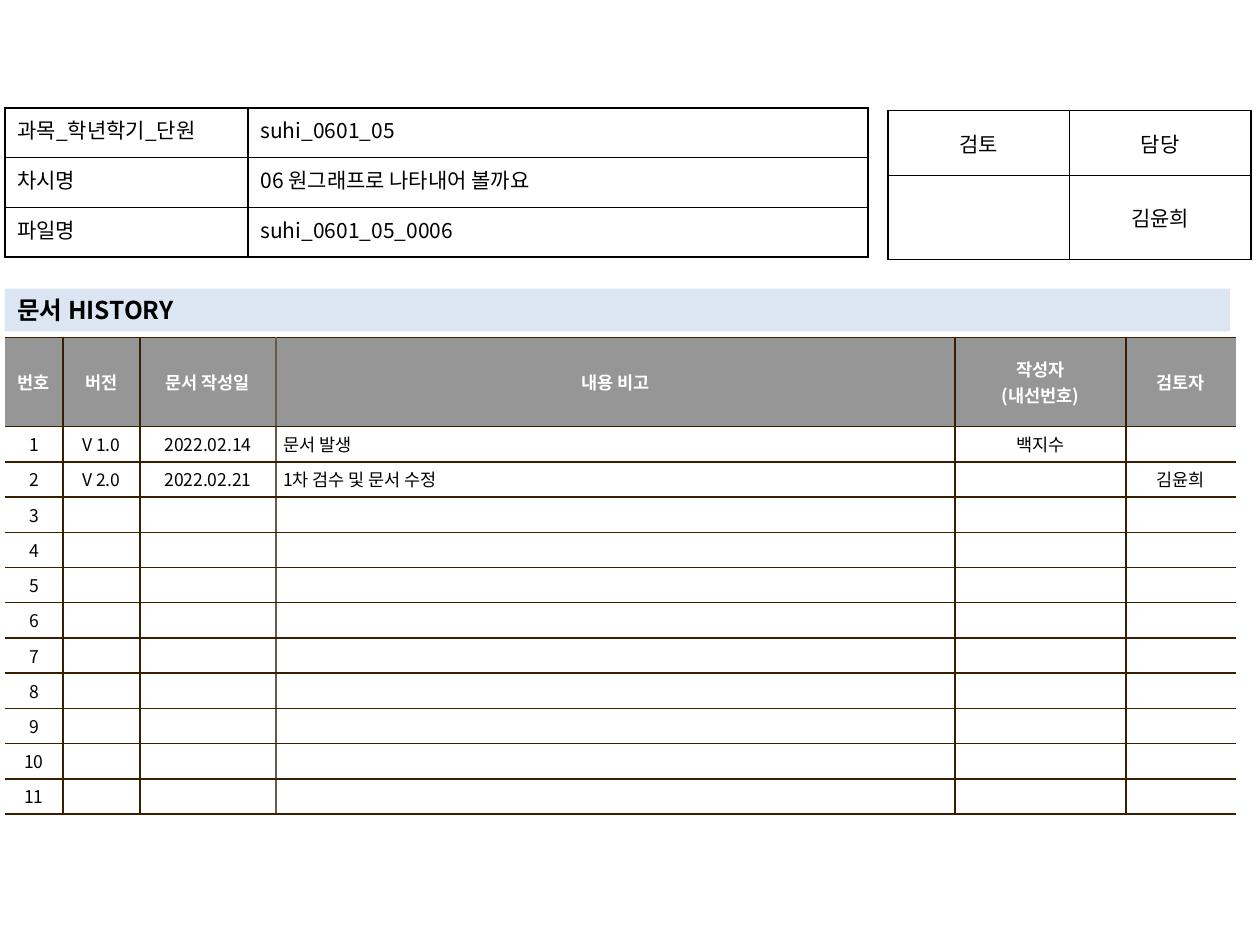
from lxml import etree
from pptx import Presentation
from pptx.dml.color import RGBColor
from pptx.enum import shapes, text
from pptx.oxml.ns import qn
from pptx.util import Cm, Pt

FONT = "Noto Sans CJK KR"
LEFT, CENTER, JUSTIFY = text.PP_ALIGN.LEFT, text.PP_ALIGN.CENTER, text.PP_ALIGN.JUSTIFY
TOP, MIDDLE = text.MSO_ANCHOR.TOP, text.MSO_ANCHOR.MIDDLE
BROWN, TAUPE = "362000", "645B4C"


def rgb(value):
    return RGBColor.from_string(value)


def write(tf, content, size, color="000000", bold=False, align=LEFT):
    """Write one paragraph per line; an empty text still keeps the font size."""
    for i, line in enumerate(content.split("\n")):
        p = tf.paragraphs[0] if i == 0 else tf.add_paragraph()
        p.alignment = align
        if not line:
            etree.SubElement(p._p, qn("a:endParaRPr"), sz=str(size * 100))
            continue
        r = p.add_run()
        r.text = line
        r.font.name, r.font.size, r.font.bold = FONT, Pt(size), bold
        r.font.color.rgb = rgb(color)
        etree.SubElement(r._r.get_or_add_rPr(), qn("a:ea"), typeface=FONT)


def set_borders(cell, left, right, top, bottom):
    """Draw 1 pt borders; None leaves a side open."""
    tcPr = cell._tc.get_or_add_tcPr()
    sides = zip(("lnL", "lnR", "lnT", "lnB"), (left, right, top, bottom))
    for i, (tag, color) in enumerate(sides):
        ln = etree.Element(qn(f"a:{tag}"), w=str(Pt(1)))
        if color:
            fill = etree.SubElement(ln, qn("a:solidFill"))
            etree.SubElement(fill, qn("a:srgbClr"), val=color)
        else:
            etree.SubElement(ln, qn("a:noFill"))
        tcPr.insert(i, ln)


def add_grid(s, x, y, widths, heights):
    frame = s.shapes.add_table(len(heights), len(widths), Cm(x), Cm(y),
                               Cm(sum(widths)), Cm(sum(heights)))
    table = frame.table
    table.first_row = table.horz_banding = False
    for col, w in zip(table.columns, widths):
        col.width = Cm(w)
    for row, h in zip(table.rows, heights):
        row.height = Cm(h)
    return table


def set_cell(cell, anchor, fill=None, margins=(0.25, 0.13)):
    cell.vertical_anchor = anchor
    cell.margin_left = cell.margin_right = Cm(margins[0])
    cell.margin_top = cell.margin_bottom = Cm(margins[1])
    if fill:
        cell.fill.solid()
        cell.fill.fore_color.rgb = rgb(fill)
    else:
        cell.fill.background()


def add_form(s, x, y, widths, heights, rows, aligns, anchor):
    """Place a plain black-ruled table."""
    table = add_grid(s, x, y, widths, heights)
    for i, row in enumerate(rows):
        for j, content in enumerate(row):
            cell = table.cell(i, j)
            set_cell(cell, anchor)
            write(cell.text_frame, content, 12, align=aligns[j])
            set_borders(cell, *["000000"] * 4)


def add_heading(s, x, y, w, h):
    sp = s.shapes.add_shape(shapes.MSO_SHAPE.RECTANGLE, Cm(x), Cm(y), Cm(w), Cm(h))
    sp.shadow.inherit = False
    sp.fill.solid()
    sp.fill.fore_color.rgb = rgb("DCE6F2")
    sp.line.fill.background()
    tf = sp.text_frame
    tf.word_wrap = True
    tf.vertical_anchor = MIDDLE
    tf.margin_top = tf.margin_bottom = 0
    write(tf, "문서 HISTORY", 14, bold=True)


def add_history(s, x, y, entries, count):
    """Place the history table with a header and numbered rows."""
    header = ["번호", "버전", "문서 작성일", "내용 비고", "작성자\n(내선번호)", "검토자"]
    rules = [None, BROWN, BROWN, TAUPE, BROWN, BROWN, None]
    widths = [1.17, 1.55, 2.74, 13.69, 3.45, 2.21]
    table = add_grid(s, x, y, widths, [1.8] + [0.71] * count)
    blank = [""] * (len(header) - 1)
    details = entries + [blank] * (count - len(entries))
    rows = [header] + [[str(n), *d] for n, d in enumerate(details, 1)]
    for i, row in enumerate(rows):
        for j, content in enumerate(row):
            cell = table.cell(i, j)
            is_head = i == 0
            set_cell(cell, MIDDLE, "969696" if is_head else "FFFFFF", (0.15, 0.1))
            write(cell.text_frame, content, 10, "FFFFFF" if is_head else "000000",
                  is_head, LEFT if j == 3 and not is_head else CENTER)
            set_borders(cell, rules[j], rules[j + 1], BROWN, BROWN)


def main():
    prs = Presentation()
    prs.slide_width, prs.slide_height = Cm(25.4), Cm(19.05)
    s = prs.slides.add_slide(prs.slide_layouts[6])
    add_history(s, 0.1, 6.8, [
        ["V 1.0", "2022.02.14", "문서 발생", "백지수", ""],
        ["V 2.0", "2022.02.21", "1차 검수 및 문서 수정", "", "김윤희"],
    ], 11)
    add_form(s, 17.9, 2.23, [3.66] * 2, [1.31, 1.69],
             [["검토", "담당"], ["", "김윤희"]], [CENTER] * 2, MIDDLE)
    add_heading(s, 0.1, 5.82, 24.7, 0.86)
    add_form(s, 0.1, 2.18, [4.9, 12.5], [1] * 3, [
        ["과목_학년학기_단원", "suhi_0601_05"],
        ["차시명", "06 원그래프로 나타내어 볼까요"],
        ["파일명", "suhi_0601_05_0006"],
    ], [JUSTIFY, LEFT], TOP)
    prs.save("out.pptx")


if __name__ == "__main__":
    main()
